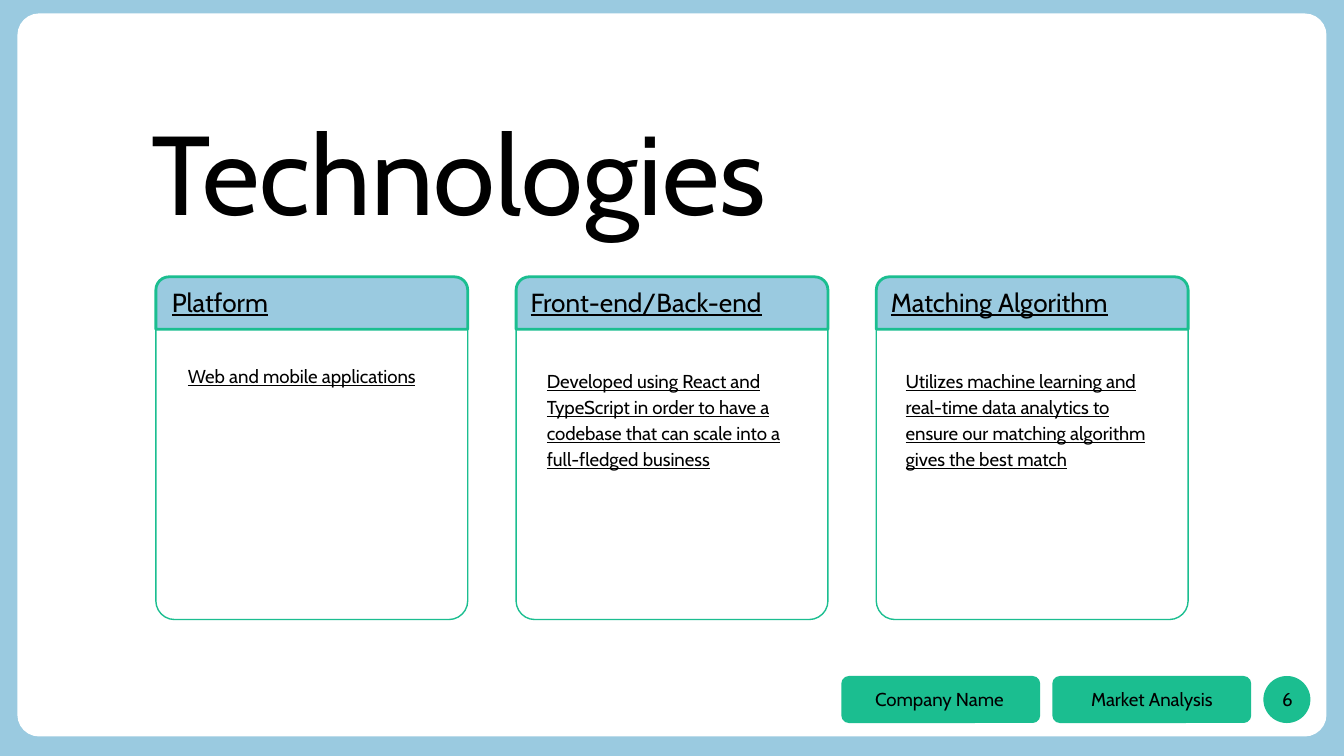
from pptx import Presentation
from pptx.dml.color import RGBColor
from pptx.enum import shapes, text
from pptx.util import Inches, Pt

COLORS = {"sky": "9ACAE0", "green": "1BBE90", "white": "FFFFFF", "black": "000000"}
FONT = "Cabin"
SHAPE = shapes.MSO_SHAPE

CARD_LEFT, CARD_TOP, CARD_WIDTH, CARD_STEP = 1.16, 2.06, 2.32, 2.68
# Heading, heading left and width, body, body left, line spacing
CARDS = [
    ("Platform", 1.18, 2.13, "Web and mobile applications", 1.3, 1.0),
    ("Front-end/Back-end", 3.85, 2.13,
     "Developed using React and TypeScript in order to have a codebase "
     "that can scale into a full-fledged business", 3.97, 1.15),
    ("Matching Algorithm", 6.53, 2.07,
     "Utilizes machine learning and real-time data analytics to ensure "
     "our matching algorithm gives the best match", 6.64, 1.15),
]


def color(name):
    return RGBColor.from_string(COLORS[name])


def add_panel(slide, kind, box, fill, adjustments=(), line_width=None):
    shape = slide.shapes.add_shape(kind, *map(Inches, box))
    shape.shadow.inherit = False
    shape.fill.solid()
    shape.fill.fore_color.rgb = color(fill)
    for index, value in enumerate(adjustments):
        shape.adjustments[index] = value
    if line_width is None:
        shape.line.fill.background()
    else:
        shape.line.color.rgb = color("green")
        shape.line.width = Pt(line_width)


def add_text(slide, box, words, size, centered=False, underline=False, spacing=1.0):
    frame = slide.shapes.add_textbox(*map(Inches, box)).text_frame
    frame_format = {
        "word_wrap": True,
        "vertical_anchor": text.MSO_ANCHOR.MIDDLE if centered else text.MSO_ANCHOR.TOP,
    }
    for side in ("left", "top", "right", "bottom"):
        frame_format["margin_" + side] = Inches(0.1)
    for name, value in frame_format.items():
        setattr(frame, name, value)

    paragraph = frame.paragraphs[0]
    paragraph.alignment = text.PP_ALIGN.CENTER if centered else text.PP_ALIGN.LEFT
    paragraph.line_spacing = spacing
    run = paragraph.add_run()
    run.text = words
    font_format = {"name": FONT, "size": Pt(size), "underline": underline}
    for name, value in font_format.items():
        setattr(run.font, name, value)
    run.font.color.rgb = color("black")


def add_card(slide, index, heading, heading_left, heading_width, body, body_left, spacing):
    left = CARD_LEFT + index * CARD_STEP
    add_panel(slide, SHAPE.ROUNDED_RECTANGLE, (left, CARD_TOP, CARD_WIDTH, 2.55),
              "white", [0.06], 0.75)
    add_panel(slide, SHAPE.ROUND_2_SAME_RECTANGLE, (left, CARD_TOP, CARD_WIDTH, 0.39),
              "sky", [0.25, 0], 1.5)
    add_text(slide, (heading_left, 2.03, heading_width, 0.41), heading, 14, underline=True)
    add_text(slide, (body_left, 2.63, 2.07, 1.84), body, 10, underline=True, spacing=spacing)


def add_footer(slide):
    button = SHAPE.ROUNDED_RECTANGLE
    items = [
        (button, 6.26, 1.48, [0.16], "Company Name", (6.27, 5.05, 1.44, 0.3)),
        (button, 7.83, 1.48, [0.16], "Market Analysis", (7.83, 4.99, 1.48, 0.43)),
        (SHAPE.OVAL, 9.4, 0.35, [], "6", (9.28, 4.99, 0.6, 0.43)),
    ]
    for kind, left, width, adjustments, label, label_box in items:
        add_panel(slide, kind, (left, 5.03, width, 0.35), "green", adjustments)
        add_text(slide, label_box, label, 10, centered=True)


def main():
    # Widescreen 16:9 slide
    presentation = Presentation()
    presentation.slide_width = Inches(10)
    presentation.slide_height = Inches(10) * 9 // 16
    slide = presentation.slides.add_slide(presentation.slide_layouts[6])

    # Background and white page
    slide.background.fill.solid()
    slide.background.fill.fore_color.rgb = color("sky")
    add_panel(slide, SHAPE.ROUNDED_RECTANGLE, (0.13, 0.1, 9.74, 5.38), "white", [0.03])

    # Title
    add_text(slide, (1.03, 0.78, 8.6, 0.91), "Technologies", 60, spacing=0.9)

    # Cards
    for index, card in enumerate(CARDS):
        add_card(slide, index, *card)

    # Footer buttons and page number
    add_footer(slide)

    presentation.save("out.pptx")


if __name__ == "__main__":
    main()
